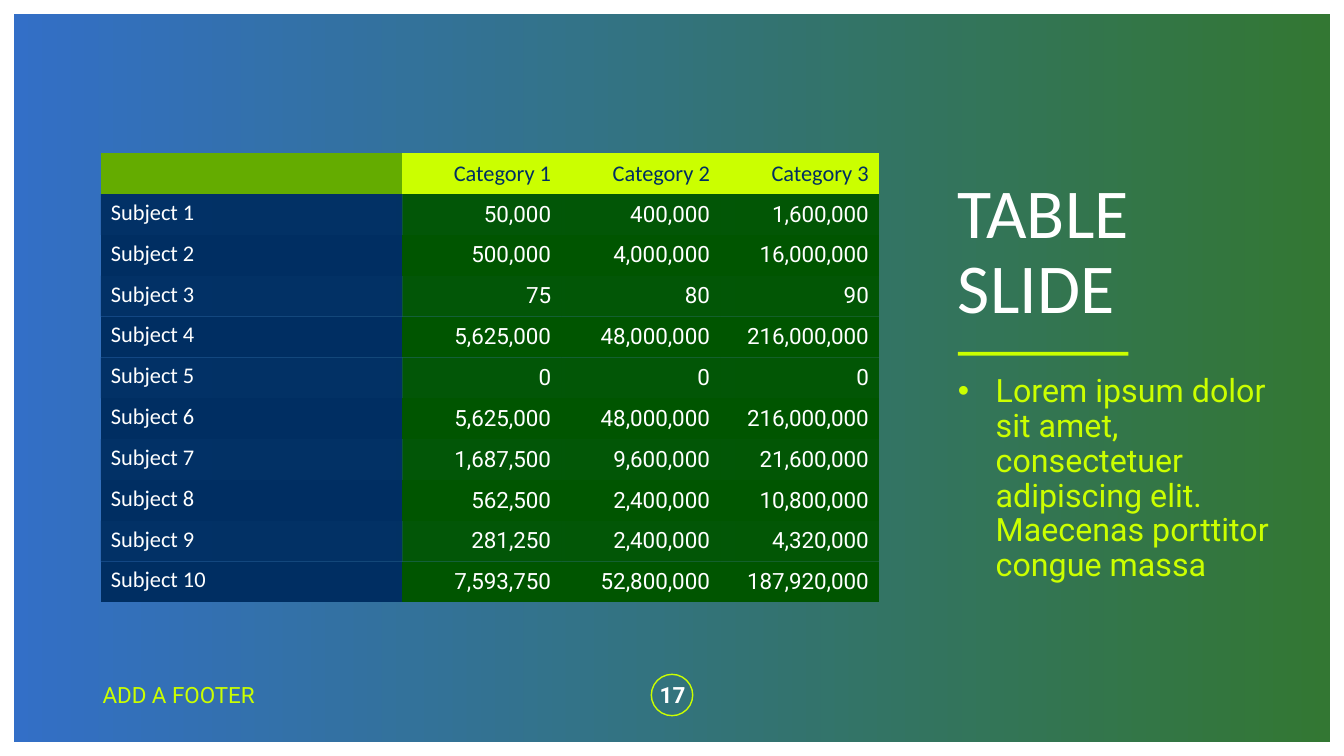
from pptx import Presentation
from pptx.dml.color import RGBColor
from pptx.enum.shapes import MSO_SHAPE as Preset
from pptx.enum.text import MSO_ANCHOR as Anchor, MSO_AUTO_SIZE as AutoSize, PP_ALIGN as Align
from pptx.oxml.ns import qn
from pptx.util import Inches, Pt
from lxml.etree import SubElement

SLIDE_WIDTH, SLIDE_HEIGHT = Inches(13.33), Inches(7.5)
COLORS = {
    "blue": "004CB9",
    "navy": "002E62",
    "green": "005500",
    "leaf": "64AC00",
    "lime": "CBFF00",
    "white": "FFFFFF",
}
NO_GRID_STYLE = "{2D5ABB26-0587-4C30-8999-92F81FD0307C}"
SIDE_LEFT = 71.27
FOOTER_TOP = 89.2
SUBJECT_SHARE = 0.3875
CATEGORIES = ["Category 1", "Category 2", "Category 3"]
SUBJECT_VALUES = [
    ["50,000", "400,000", "1,600,000"],
    ["500,000", "4,000,000", "16,000,000"],
    ["75", "80", "90"],
    ["5,625,000", "48,000,000", "216,000,000"],
    ["0", "0", "0"],
    ["5,625,000", "48,000,000", "216,000,000"],
    ["1,687,500", "9,600,000", "21,600,000"],
    ["562,500", "2,400,000", "10,800,000"],
    ["281,250", "2,400,000", "4,320,000"],
    ["7,593,750", "52,800,000", "187,920,000"],
]


def color(name):
    return RGBColor.from_string(COLORS[name])


def area(left, top, width, height):
    return (
        int(SLIDE_WIDTH * left / 100),
        int(SLIDE_HEIGHT * top / 100),
        int(SLIDE_WIDTH * width / 100),
        int(SLIDE_HEIGHT * height / 100),
    )


def set_opacity(element, percent):
    for color_element in element.iter(qn("a:srgbClr")):
        SubElement(color_element, qn("a:alpha"), val=str(percent * 1000))


def write(frame, text, size, font, tint, align=Align.LEFT, bold=False, spacing=None):
    frame.text = text
    paragraph = frame.paragraphs[0]
    paragraph.alignment = align
    paragraph.space_before = Pt(0)
    if spacing:
        paragraph.line_spacing = spacing
    paragraph.font.size = Pt(size)
    paragraph.font.name = font
    paragraph.font.bold = bold
    paragraph.font.color.rgb = color(tint)


def add_preset(slide, preset, box, fill=None, line=None):
    shape = slide.shapes.add_shape(preset, *box)
    shape.shadow.inherit = False
    if fill:
        shape.fill.solid()
        shape.fill.fore_color.rgb = color(fill)
    else:
        shape.fill.background()
    if line:
        shape.line.color.rgb = color(line)
        shape.line.width = Pt(1)
    else:
        shape.line.fill.background()
    return shape


def add_backdrop(slide):
    backdrop = add_preset(slide, Preset.RECTANGLE, area(1.05, 1.87, 97.9, 96.27))
    backdrop.fill.gradient()
    backdrop.fill.gradient_angle = 0
    for stop, tint, position in zip(backdrop.fill.gradient_stops, ("blue", "green"), (0, 1)):
        stop.color.rgb = color(tint)
        stop.position = position
    set_opacity(backdrop._element.spPr, 80)
    slide.shapes._spTree.insert(2, backdrop._element)


def fill_cell(cell, text, fill, font="Roboto", tint="white", align=Align.RIGHT,
              anchor=Anchor.MIDDLE, opacity=100):
    cell.fill.solid()
    cell.fill.fore_color.rgb = color(fill)
    if opacity < 100:
        set_opacity(cell._tc.tcPr, opacity)
    cell.vertical_anchor = anchor
    write(cell.text_frame, text, 16, font, tint, align)


def add_subject_table(slide):
    left, top, width, height = area(7.5, 20.27, 57.9, 59.47)
    row_count, column_count = len(SUBJECT_VALUES) + 1, len(CATEGORIES) + 1
    table = slide.shapes.add_table(row_count, column_count, left, top, width, height).table
    table._tbl.tblPr.find(qn("a:tableStyleId")).text = NO_GRID_STYLE
    table.horz_banding = False
    table.first_row = False

    subject_width = int(width * SUBJECT_SHARE)
    table.columns[0].width = subject_width
    for column in range(1, column_count):
        table.columns[column].width = (width - subject_width) // len(CATEGORIES)
    for row in table.rows:
        row.height = height // row_count

    fill_cell(table.cell(0, 0), "", "leaf")
    for column, category in enumerate(CATEGORIES, 1):
        fill_cell(table.cell(0, column), category, "lime", "Calibri", "navy")
    for row, values in enumerate(SUBJECT_VALUES, 1):
        opacity = 95 if row % 2 else 100
        fill_cell(table.cell(row, 0), f"Subject {row}", "navy", "Calibri",
                  align=Align.LEFT, anchor=Anchor.TOP, opacity=opacity)
        for column, value in enumerate(values, 1):
            fill_cell(table.cell(row, column), value, "green", opacity=opacity)


def fill_placeholder(placeholder, box, text, size, font, tint, anchor):
    placeholder.left, placeholder.top, placeholder.width, placeholder.height = box
    frame = placeholder.text_frame
    frame.word_wrap = True
    frame.auto_size = AutoSize.NONE
    frame.vertical_anchor = anchor
    frame.margin_left = frame.margin_right = 0
    properties = frame.paragraphs[0]._p.get_or_add_pPr()
    properties.set("marL", "0")
    properties.set("indent", "0")
    SubElement(properties, qn("a:buNone"))
    write(frame, text, size, font, tint, spacing=0.9)


def add_label(slide, box, text, tint, align=Align.LEFT, bold=False):
    frame = slide.shapes.add_textbox(*box).text_frame
    frame.word_wrap = True
    frame.vertical_anchor = Anchor.MIDDLE
    write(frame, text, 16, "Roboto", tint, align, bold)


def main():
    presentation = Presentation()
    presentation.slide_width, presentation.slide_height = SLIDE_WIDTH, SLIDE_HEIGHT
    slide = presentation.slides.add_slide(presentation.slide_layouts[1])

    add_backdrop(slide)
    add_preset(slide, Preset.OVAL, area(48.46, FOOTER_TOP, 3.08, 5.47), line="lime")
    add_preset(slide, Preset.RECTANGLE, area(SIDE_LEFT, 46.53, 12.68, 0.53), fill="lime")
    add_subject_table(slide)
    fill_placeholder(slide.shapes.title, area(SIDE_LEFT, 22, 21.91, 23.07),
                     "TABLE\vSLIDE", 50, "Calibri", "white", Anchor.MIDDLE)
    fill_placeholder(slide.placeholders[1], area(SIDE_LEFT, 48.93, 23.41, 32.8),
                     "Lorem ipsum dolor sit amet, consectetuer adipiscing elit. "
                     "Maecenas porttitor congue massa", 23, "Roboto", "lime", Anchor.TOP)
    add_label(slide, area(6.9, FOOTER_TOP, 27.91, 5.33), "ADD A FOOTER", "lime")
    add_label(slide, area(47.79, FOOTER_TOP, 4.5, 5.33), "17", "white", Align.CENTER, True)

    presentation.save("out.pptx")


if __name__ == "__main__":
    main()
